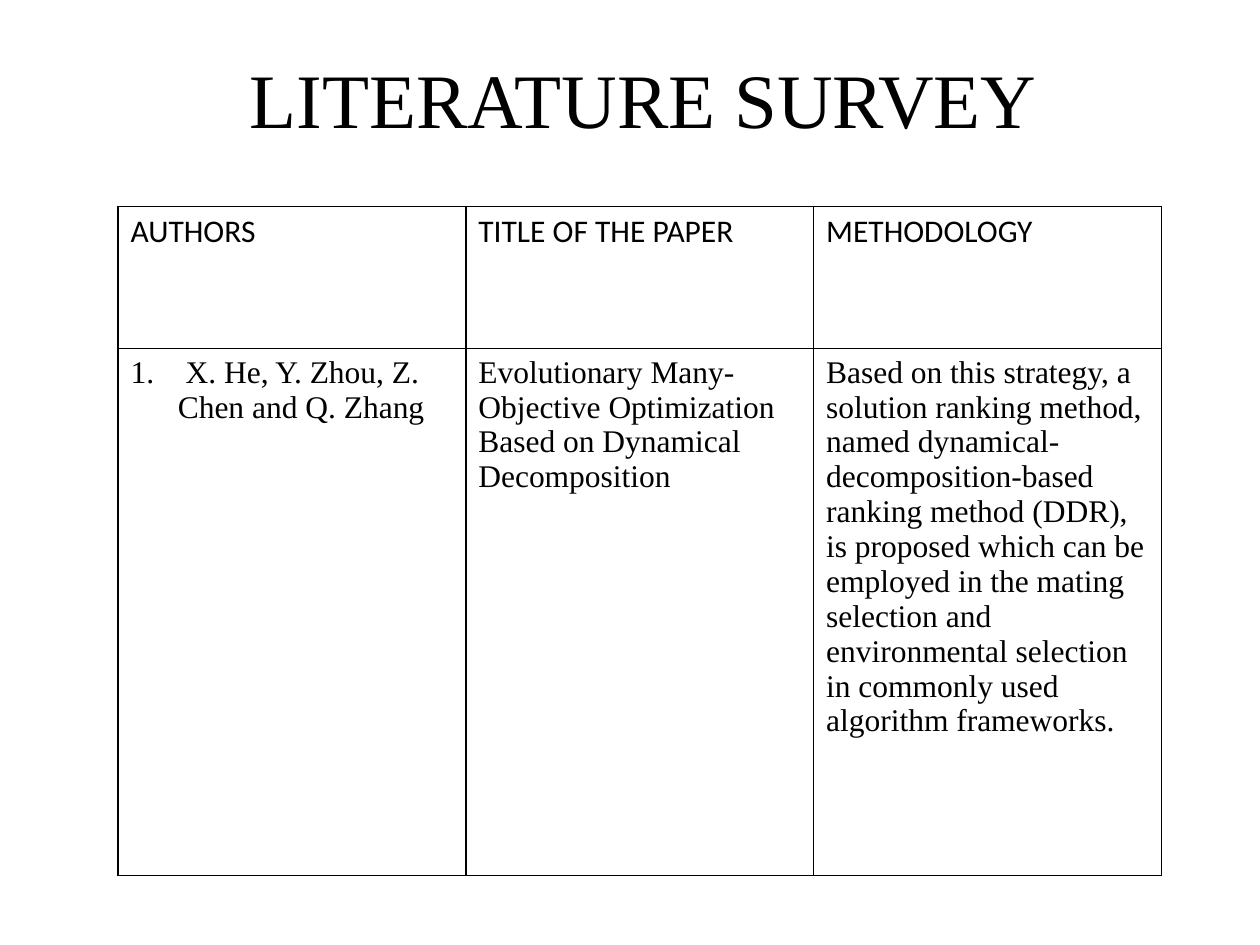
from dataclasses import dataclass

from lxml import etree
from pptx import Presentation
from pptx.dml.color import RGBColor
from pptx.enum.text import MSO_ANCHOR, PP_ALIGN
from pptx.oxml.ns import qn
from pptx.slide import Slide
from pptx.table import _Cell
from pptx.text.text import _Paragraph
from pptx.util import Cm, Pt

CENTER = PP_ALIGN.CENTER
MIDDLE = MSO_ANCHOR.MIDDLE
COLORS = {"text": "000000", "border": "000000"}
HEADING_FONT = "Calibri"
BODY_FONT = "Times New Roman"
COLUMN_WIDTH = Cm(7.01)
ROW_HEIGHTS = (Cm(2.87), Cm(10.62))
NUMBER_INDENT = Cm(0.95)
BORDER_WIDTH = Pt(1)


@dataclass(frozen=True)
class Entry:
    text: str
    font: str = BODY_FONT
    numbered: bool = False


SURVEY = (
    (
        Entry("AUTHORS", HEADING_FONT),
        Entry("TITLE OF THE PAPER", HEADING_FONT),
        Entry("METHODOLOGY", HEADING_FONT),
    ),
    (
        Entry(" X. He, Y. Zhou, Z. Chen and Q. Zhang", numbered=True),
        Entry("Evolutionary Many-Objective Optimization Based on Dynamical Decomposition"),
        Entry(
            "Based on this strategy, a solution ranking method, named "
            "dynamical-decomposition-based ranking method (DDR), is proposed "
            "which can be employed in the mating selection and environmental "
            "selection in commonly used algorithm frameworks."
        ),
    ),
)


def add_run(paragraph: _Paragraph, text: str, font: str, size: int) -> None:
    run = paragraph.add_run()
    run.text = text
    run.font.name = font
    run.font.size = Pt(size)
    run.font.bold = False
    run.font.color.rgb = RGBColor.from_string(COLORS["text"])


def number_paragraph(paragraph: _Paragraph) -> None:
    """Give the paragraph a hanging automatic number."""
    properties = paragraph._p.get_or_add_pPr()
    properties.set("marL", str(NUMBER_INDENT))
    properties.set("indent", str(-NUMBER_INDENT))
    etree.SubElement(properties, qn("a:buFont"), typeface="+mj-lt")
    etree.SubElement(properties, qn("a:buAutoNum"), type="arabicPeriod")


def add_borders(cell: _Cell) -> None:
    properties = cell._tc.get_or_add_tcPr()
    for position, side in enumerate(("lnL", "lnR", "lnT", "lnB")):
        line = etree.Element(qn(f"a:{side}"), w=str(BORDER_WIDTH))
        fill = etree.SubElement(line, qn("a:solidFill"))
        etree.SubElement(fill, qn("a:srgbClr"), val=COLORS["border"])
        properties.insert(position, line)


def add_title(slide: Slide, text: str) -> None:
    title = slide.shapes.add_textbox(Cm(2.18), Cm(0.58), Cm(21.59), Cm(2.77))
    frame = title.text_frame
    frame.word_wrap = True
    frame.vertical_anchor = MIDDLE
    paragraph = frame.paragraphs[0]
    paragraph.alignment = CENTER
    add_run(paragraph, text, BODY_FONT, 44)


def add_survey_table(slide: Slide, rows: tuple[tuple[Entry, ...], ...]) -> None:
    column_count = len(rows[0])
    table = slide.shapes.add_table(
        len(rows), column_count, Cm(2.38), Cm(4.16),
        COLUMN_WIDTH * column_count, sum(ROW_HEIGHTS),
    ).table
    table.first_row = False
    table.horz_banding = False
    for column in table.columns:
        column.width = COLUMN_WIDTH
    for row_index, (entries, height) in enumerate(zip(rows, ROW_HEIGHTS)):
        table.rows[row_index].height = height
        for column_index, entry in enumerate(entries):
            cell = table.cell(row_index, column_index)
            cell.fill.background()
            add_borders(cell)
            paragraph = cell.text_frame.paragraphs[0]
            if entry.numbered:
                number_paragraph(paragraph)
            add_run(paragraph, entry.text, entry.font, 18)


def main() -> None:
    presentation = Presentation()
    presentation.slide_width = Cm(25.4)
    presentation.slide_height = Cm(19.05)
    slide = presentation.slides.add_slide(presentation.slide_layouts[6])
    add_title(slide, "LITERATURE SURVEY")
    add_survey_table(slide, SURVEY)
    presentation.save("out.pptx")


if __name__ == "__main__":
    main()
